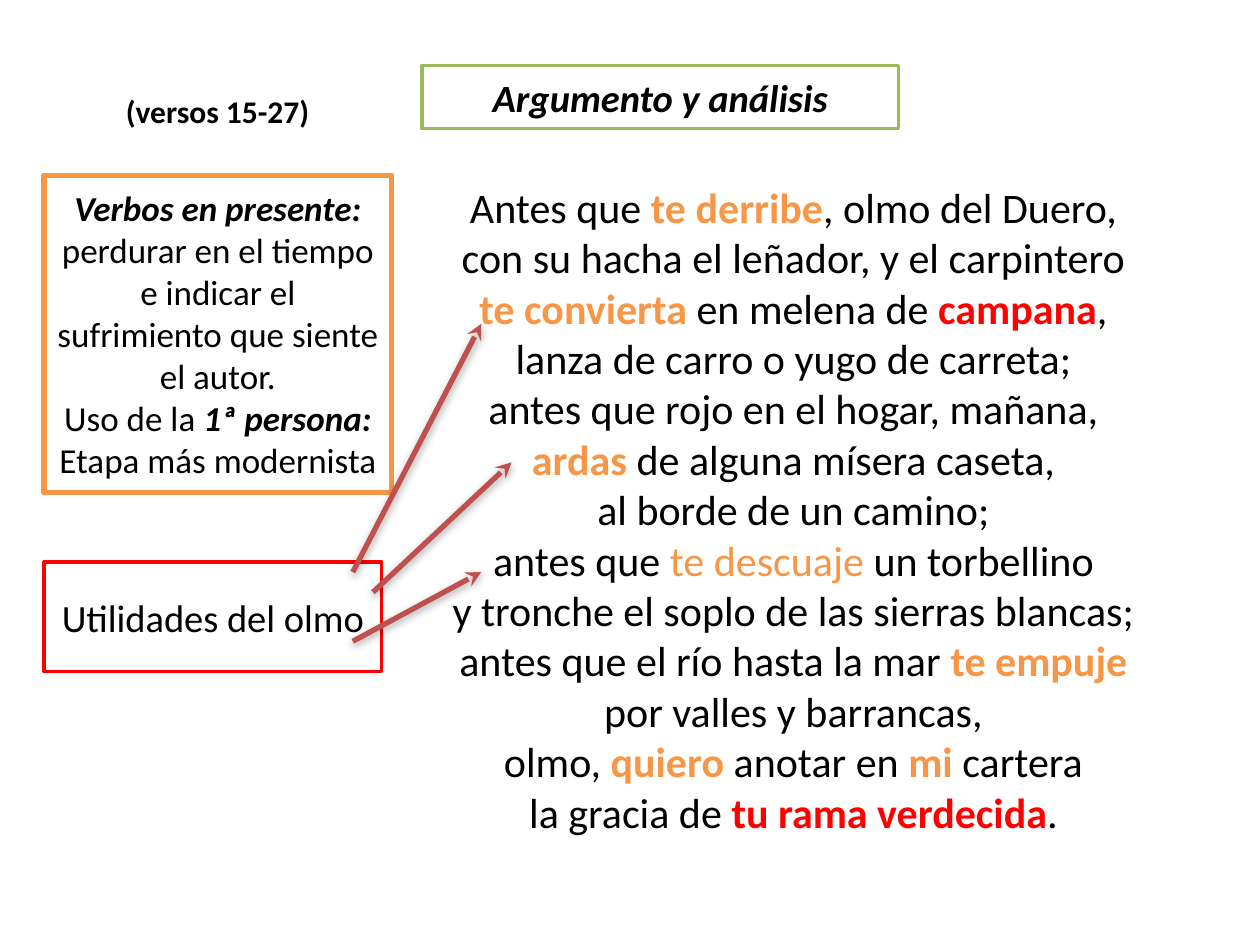
from lxml.etree import SubElement
from pptx import Presentation
from pptx.dml.color import RGBColor
from pptx.enum.shapes import MSO_CONNECTOR, MSO_SHAPE
from pptx.enum.text import MSO_ANCHOR, PP_ALIGN
from pptx.oxml.ns import qn
from pptx.util import Inches, Pt

COLORS = {"text": "000000", "paper": "FFFFFF", "green": "9BBB59",
          "orange": "F79646", "red": "FF0000", "arrow": "C0504D"}
# Styles for the marked pieces of a text: colour, bold, italic
STYLES = {"verb": ("orange", True, False), "soft": ("orange", False, False),
          "use": ("red", True, False), "key": ("text", True, True),
          "strong": ("text", True, False)}

prs = Presentation()
prs.slide_width, prs.slide_height = Inches(10), Inches(7.5)
slide = prs.slides.add_slide(prs.slide_layouts[6])
COL, ROW = prs.slide_width / 100, prs.slide_height / 75


def add_text(text, left, top, width, height, size, border=None, weight=2,
             anchor=MSO_ANCHOR.MIDDLE, align=PP_ALIGN.CENTER):
    """Add a box; pieces between bars are 'style:words', a newline starts a
    paragraph and a slash breaks a line."""
    box = slide.shapes.add_shape(MSO_SHAPE.RECTANGLE, round(left * COL), round(top * ROW),
                                 round(width * COL), round(height * ROW))
    box.shadow.inherit = False
    box.fill.solid()
    box.fill.fore_color.rgb = RGBColor.from_string(COLORS["paper"])
    if border:
        box.line.color.rgb = RGBColor.from_string(COLORS[border])
        box.line.width = Pt(weight)
    else:
        box.line.fill.background()
    frame = box.text_frame
    frame.word_wrap = True
    frame.vertical_anchor = anchor
    for row, content in enumerate(text.split("\n")):
        paragraph = frame.add_paragraph() if row else frame.paragraphs[0]
        paragraph.alignment = align
        for index, piece in enumerate(content.split("|")):
            color, bold, italic = "text", False, False
            if index % 2:
                style, _, piece = piece.partition(":")
                color, bold, italic = STYLES[style]
            for line, words in enumerate(piece.split("/")):
                if line:
                    paragraph.add_line_break()
                if not words:
                    continue
                run = paragraph.add_run()
                run.text = words
                run.font.name, run.font.size = "Calibri", Pt(size)
                run.font.bold, run.font.italic = bold, italic
                run.font.color.rgb = RGBColor.from_string(COLORS[color])


verses = [
    "Antes que |verb:te derribe|, olmo del Duero, ",
    "con su hacha el leñador, y el carpintero ",
    "|verb:te convierta| en melena de |use:campana|, ",
    "lanza de carro o yugo de carreta; ",
    "antes que rojo en el hogar, mañana, ",
    "|verb:ardas| de alguna mísera caseta, ",
    "al borde de un camino; ",
    "antes que |soft:te descuaje| un torbellino ",
    "y tronche el soplo de las sierras blancas; ",
    "antes que el río hasta la mar |verb:te empuje| ",
    "por valles y barrancas, ",
    "olmo, |verb:quiero| anotar en |verb:mi| cartera ",
    "la gracia de |use:tu rama verdecida|. ",
]
verb_notes = "\n".join([
    "|key:Verbos en presente: |perdurar en el tiempo e indicar el "
    "sufrimiento que siente el autor.",
    "Uso de la |key:1ª persona:|",
    "Etapa más modernista",
])

add_text("|key:Argumento y análisis|", 33.5, 5.2, 37.8, 5, 22, border="green")
add_text("/".join(verses), 28.7, 13.9, 69.3, 53.5, 24, anchor=MSO_ANCHOR.TOP)
add_text("|strong:(versos 15-27)|", 9, 6.8, 17.3, 4, 18,
         anchor=MSO_ANCHOR.TOP, align=PP_ALIGN.LEFT)
add_text(verb_notes, 3.5, 13.9, 27.6, 25.2, 20, border="orange", weight=3)
add_text("Utilidades del olmo", 3.5, 44.6, 26.8, 8.7, 22, border="red")

# Arrows from the uses of the elm to the verses that name them
for x1, y1, x2, y2 in [(28, 45.4, 38.2, 25.7), (29.6, 47, 40.6, 36.7),
                       (28, 50.9, 38.2, 45.4)]:
    arrow = slide.shapes.add_connector(MSO_CONNECTOR.STRAIGHT, round(x1 * COL), round(y1 * ROW),
                                       round(x2 * COL), round(y2 * ROW))
    arrow.line.color.rgb = RGBColor.from_string(COLORS["arrow"])
    arrow.line.width = Pt(3)
    SubElement(arrow.line._get_or_add_ln(), qn("a:tailEnd"), type="stealth")
    effects = SubElement(arrow._element.spPr, qn("a:effectLst"))
    shadow = SubElement(effects, qn("a:outerShdw"), blurRad=str(Pt(5)),
                        dist=str(Pt(1.8)), dir="5400000", rotWithShape="0")
    shade = SubElement(shadow, qn("a:srgbClr"), val=COLORS["text"])
    SubElement(shade, qn("a:alpha"), val="35000")

prs.save("out.pptx")
